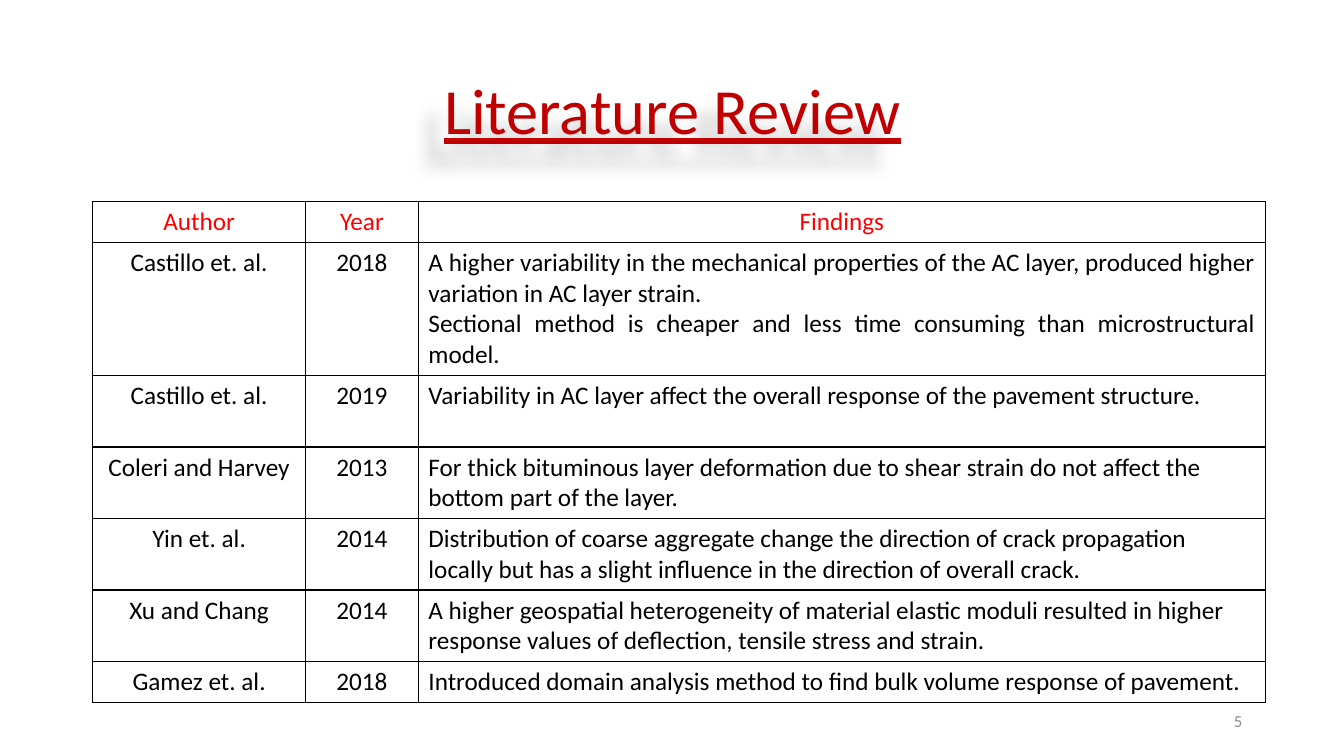
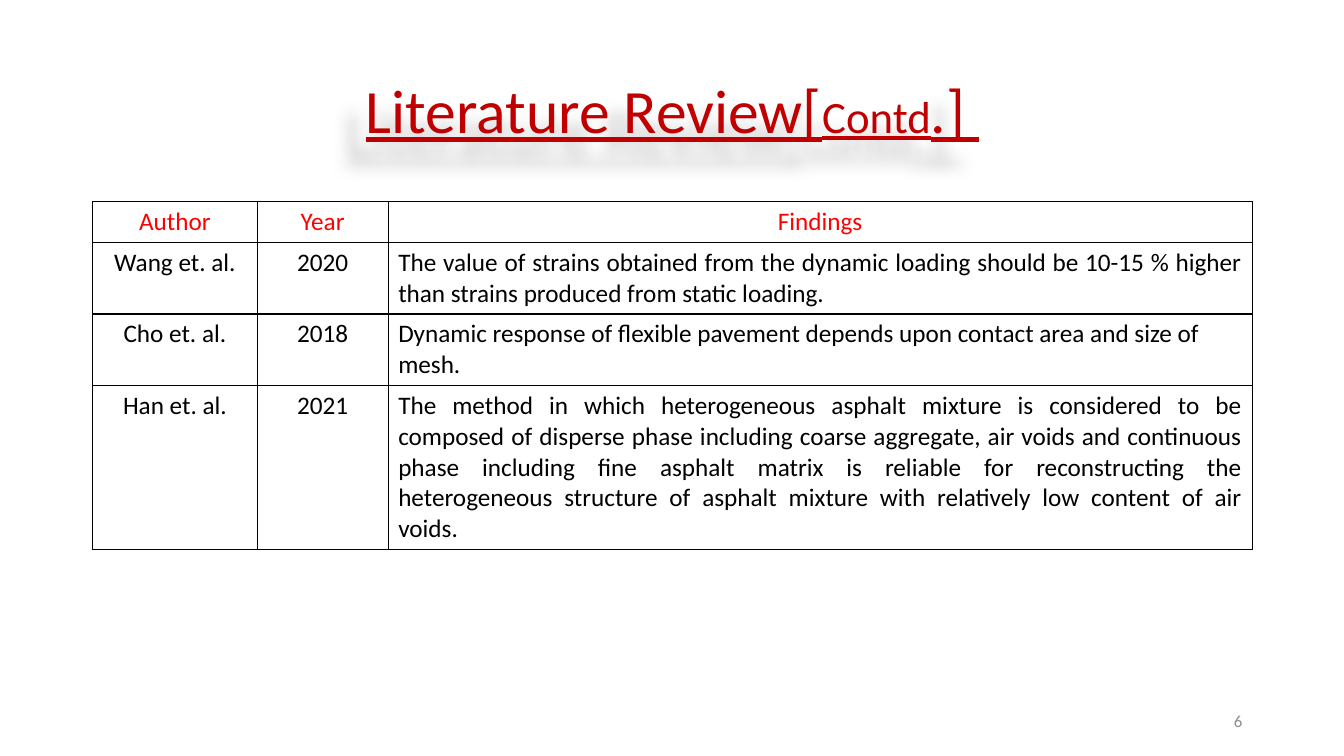
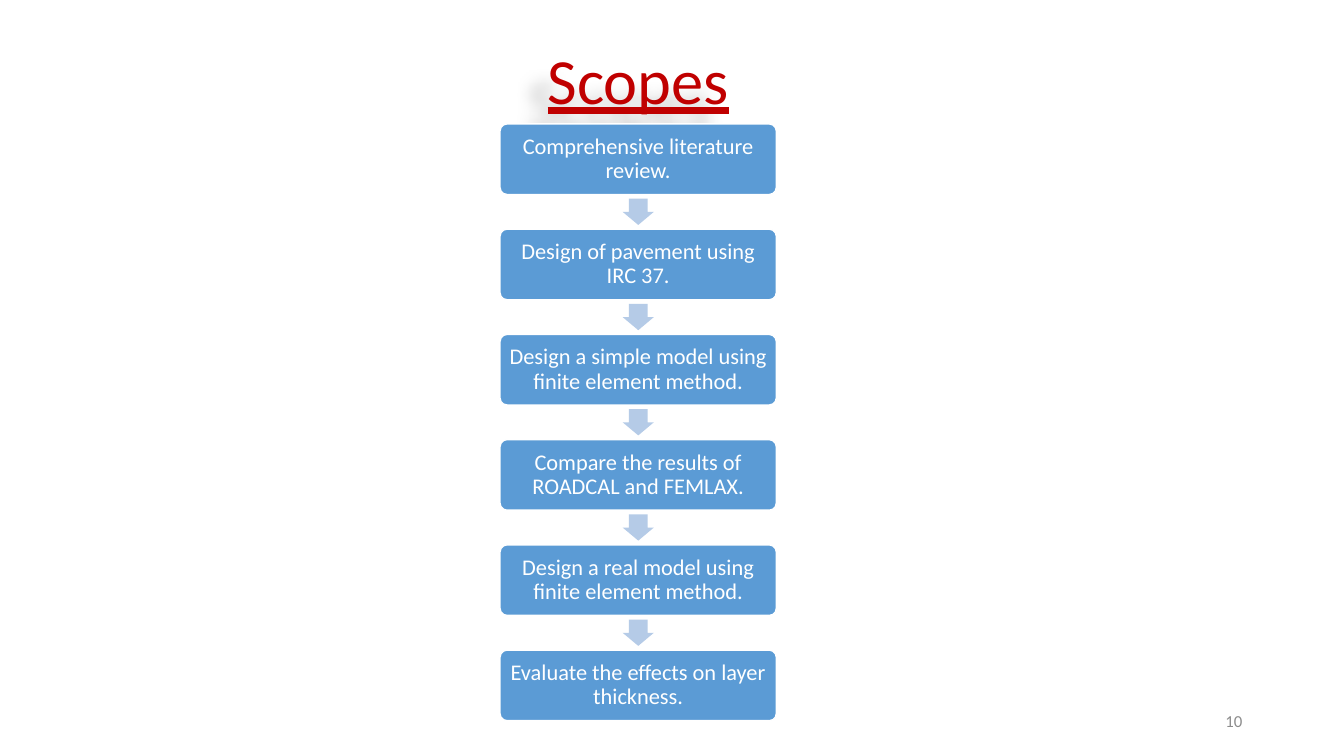
from pptx import Presentation
from pptx.dml.color import RGBColor
from pptx.enum.shapes import MSO_SHAPE
from pptx.enum.text import MSO_ANCHOR, MSO_AUTO_SIZE, PP_ALIGN
from pptx.oxml import parse_xml
from pptx.oxml.ns import nsdecls
from pptx.util import Inches, Pt

COLORS = {
    "title": "C00000", "header": "FF0000", "ink": "000000", "page": "8C8C8C",
    "step": "5B9BD5", "arrow": "B5CBE7", "white": "FFFFFF",
}
FONT = "Calibri"
LEFT, CENTER, JUSTIFY = PP_ALIGN.LEFT, PP_ALIGN.CENTER, PP_ALIGN.JUSTIFY
HEADER = ("Author", "Year", "Findings")

REVIEWS = [
    {
        "title": [("Literature Review", 46)],
        "page": "5",
        "columns": (2.11, 1.12, 8.4),
        "studies": [
            ("Castillo et. al.", "2018",
             "A higher variability in the mechanical properties of the AC layer, produced higher "
             "variation in AC layer strain. \nSectional method is cheaper and less time consuming "
             "than microstructural model.", JUSTIFY, 4),
            ("Castillo et. al.", "2019",
             "Variability in AC layer affect the overall response of the pavement structure.",
             LEFT, 2),
            ("Coleri and Harvey", "2013",
             "For thick bituminous layer deformation due to shear strain do not affect the bottom "
             "part of the layer.", LEFT, 2),
            ("Yin et. al.", "2014",
             "Distribution of coarse aggregate change the direction of crack propagation locally "
             "but has a slight influence in the direction of overall crack.", LEFT, 2),
            ("Xu and Chang", "2014",
             "A higher geospatial heterogeneity of material elastic moduli resulted in higher "
             "response values of deflection, tensile stress and strain.", LEFT, 2),
            ("Gamez et. al.", "2018",
             "Introduced domain analysis method to find bulk volume response of pavement.",
             LEFT, 1),
        ],
    },
    {
        "title": [("Literature Review[", 44), ("Contd", 32), (".] ", 44)],
        "page": "6",
        "columns": (1.63, 1.3, 8.57),
        "studies": [
            ("Wang et. al.", "2020",
             "The value of strains obtained from the dynamic loading should be 10-15 % higher than "
             "strains produced from static loading.", JUSTIFY, 2),
            ("Cho et. al.", "2018",
             "Dynamic response of flexible pavement depends upon contact area and size of mesh.",
             LEFT, 2),
            ("Han et. al.", "2021",
             "The method in which heterogeneous asphalt mixture is considered to be composed of "
             "disperse phase including coarse aggregate, air voids and continuous phase including "
             "fine asphalt matrix is reliable for reconstructing the heterogeneous structure of "
             "asphalt mixture with relatively low content of air voids.", JUSTIFY, 5),
        ],
    },
]

SCOPES = {
    "title": [("Scopes", 46)],
    "page": "10",
    "steps": [
        "Comprehensive literature review.",
        "Design of pavement using IRC 37.",
        "Design a simple model using finite element method.",
        "Compare the results of ROADCAL and FEMLAX.",
        "Design a real model using finite element method.",
        "Evaluate the effects on layer thickness.",
    ],
}

TITLE_SHADOW = (
    f'<a:effectLst {nsdecls("a")}><a:outerShdw blurRad="{Inches(0.16)}" dist="{Inches(0.28)}" '
    'dir="8100000" algn="ctr" rotWithShape="0"><a:srgbClr val="000000"><a:alpha val="25000"/>'
    '</a:srgbClr></a:outerShdw></a:effectLst>'
)


def rgb(name):
    return RGBColor.from_string(COLORS[name])


def style_run(run, size, color):
    run.font.name = FONT
    run.font.size = Pt(size)
    run.font.bold = False
    run.font.color.rgb = rgb(color)


def style_text(frame, size, color, align):
    for paragraph in frame.paragraphs:
        paragraph.alignment = align
        for run in paragraph.runs:
            style_run(run, size, color)


def add_page(deck, content, left=0.92, top=0.4):
    slide = deck.slides.add_slide(deck.slide_layouts[5])
    title = slide.shapes.title
    title.left, title.top = Inches(left), Inches(top)
    title.width, title.height = Inches(11.5), Inches(1.45)
    title._element.spPr.append(parse_xml(TITLE_SHADOW))
    title.text_frame.auto_size = MSO_AUTO_SIZE.NONE
    title.text_frame.vertical_anchor = MSO_ANCHOR.MIDDLE
    heading = title.text_frame.paragraphs[0]
    heading.alignment = CENTER
    heading.line_spacing = 0.9
    for text, size in content["title"]:
        run = heading.add_run()
        run.text = text
        style_run(run, size, "title")
        run.font.underline = True

    number = slide.shapes.add_textbox(Inches(9.42), Inches(6.95), Inches(3), Inches(0.4))
    number.text_frame.word_wrap = True
    number.text_frame.vertical_anchor = MSO_ANCHOR.MIDDLE
    number.text_frame.text = content["page"]
    style_text(number.text_frame, 12, "page", PP_ALIGN.RIGHT)
    return slide


def fill_cell(cell, text, color, align):
    cell.text_frame.text = text
    style_text(cell.text_frame, 18, color, align)
    properties = cell._tc.get_or_add_tcPr()
    for side in ("lnL", "lnR", "lnT", "lnB"):
        properties.append(parse_xml(
            f'<a:{side} {nsdecls("a")} w="{Pt(1)}"><a:solidFill>'
            f'<a:srgbClr val="{COLORS["ink"]}"/></a:solidFill></a:{side}>'))
    cell.fill.background()


def add_review(slide, columns, studies):
    heights = [0.1 + 0.305 * lines for lines in [1] + [study[-1] for study in studies]]
    table = slide.shapes.add_table(
        len(heights), len(columns), Inches(0.92), Inches(2),
        Inches(sum(columns)), Inches(sum(heights))).table
    for column, width in zip(table.columns, columns):
        column.width = Inches(width)
    for row, height in zip(table.rows, heights):
        row.height = Inches(height)
    for index, label in enumerate(HEADER):
        fill_cell(table.cell(0, index), label, "header", CENTER)
    for row, (author, year, findings, align, _) in enumerate(studies, 1):
        fill_cell(table.cell(row, 0), author, "ink", CENTER)
        fill_cell(table.cell(row, 1), year, "ink", CENTER)
        fill_cell(table.cell(row, 2), findings, "ink", align)


def add_block(slide, kind, left, top, width, height, color, adjustments):
    block = slide.shapes.add_shape(
        kind, Inches(left), Inches(top), Inches(width), Inches(height))
    block.shadow.inherit = False
    block.fill.solid()
    block.fill.fore_color.rgb = rgb(color)
    block.line.fill.background()
    for index, value in enumerate(adjustments):
        block.adjustments[index] = value
    return block


def add_steps(slide, steps, left=4.96, top=1.23, width=2.74, height=0.7, pitch=1.044):
    arrow_width, arrow_height = 0.26, 0.31
    arrow_left = left + (width - arrow_width) / 2
    for index, text in enumerate(steps):
        step_top = top + index * pitch
        step = add_block(slide, MSO_SHAPE.ROUNDED_RECTANGLE, left, step_top,
                         width, height, "step", [0.1])
        step.line.color.rgb = rgb("white")
        step.line.width = Pt(1)
        frame = step.text_frame
        frame.word_wrap = True
        frame.vertical_anchor = MSO_ANCHOR.MIDDLE
        frame.margin_left = frame.margin_right = Inches(0.04)
        frame.margin_top = frame.margin_bottom = Inches(0.04)
        frame.text = text
        frame.paragraphs[0].line_spacing = 0.9
        style_text(frame, 16, "white", CENTER)
        if index < len(steps) - 1:
            arrow_top = step_top + (height + pitch - arrow_height) / 2
            arrow = add_block(slide, MSO_SHAPE.RIGHT_ARROW, arrow_left, arrow_top,
                              arrow_width, arrow_height, "arrow", [0.6, 0.5])
            arrow.rotation = 90


deck = Presentation()
deck.slide_width, deck.slide_height = Inches(13.33), Inches(7.5)
for review in REVIEWS:
    add_review(add_page(deck, review), review["columns"], review["studies"])
add_steps(add_page(deck, SCOPES, left=0.58, top=0.1), SCOPES["steps"])
deck.save("out.pptx")
